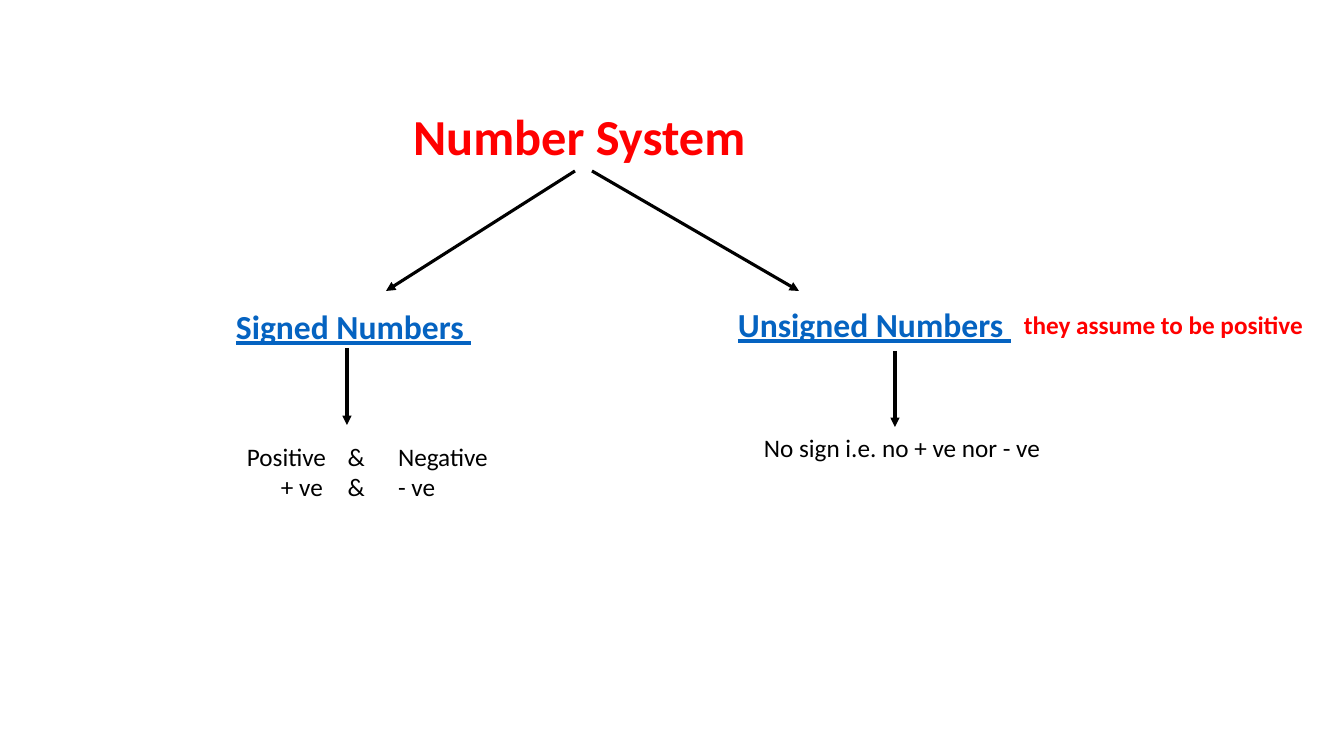
from dataclasses import dataclass

from lxml import etree
from pptx import Presentation
from pptx import util as u
from pptx.dml.color import RGBColor
from pptx.enum import shapes, text
from pptx.oxml.ns import qn


@dataclass(frozen=True)
class Theme:
    font: str = "Calibri"
    red: str = "FF0000"
    blue: str = "0563C1"
    black: str = "000000"
    title: int = 36
    heading: int = 24
    body: int = 18
    line: float = 2.25


THEME = Theme()
EMU_PER_PX = 914400 / 100.8

# Content: boxes are left, top, width, height in px
TITLE = ("Number System", (403, 100, 817, 72))
HEADINGS = [
    ("Signed Numbers ", (226, 301, 266, 50)),
    ("Unsigned Numbers ", (728, 299, 337, 50)),
]
REMARK = ("they assume to be positive", (1014, 304, 310, 40))
UNSIGNED_NOTE = ("No sign i.e. no + ve nor - ve", (754, 427, 310, 40))
SIGNED_BOX = (237, 436, 310, 72)
# Each row: first-line indent, tab stops, words
SIGNED_ROWS = [
    (0, (91, 119), ("Positive", "&", "Negative")),
    (34, (93, 127), ("+ ve", "&", "- ve")),
]
ARROWS = [
    ((575, 171), (386, 291)),
    ((592, 171), (799, 291)),
    ((895, 351), (895, 427)),
    ((347, 348), (347, 425)),
]


def px(value):
    return u.Emu(round(value * EMU_PER_PX))


def style(para, size, color, bold=False, underline=None):
    font = para.font
    font.name, font.size = THEME.font, u.Pt(size)
    font.bold, font.underline = bold, underline
    font.color.rgb = RGBColor.from_string(color)


def add_box(page, area):
    box = page.shapes.add_textbox(*map(px, area))
    box.text_frame.word_wrap = True
    return box.text_frame


def add_label(page, label, area, size, color, **look):
    para = add_box(page, area).paragraphs[0]
    para.text = label
    style(para, size, color, **look)


def set_columns(para, indent, stops):
    properties = para._p.get_or_add_pPr()
    properties.set("marL", "0")
    properties.set("indent", str(px(indent)))
    tabs = etree.SubElement(properties, qn("a:tabLst"))
    for stop in stops:
        etree.SubElement(tabs, qn("a:tab"), pos=str(px(stop)), algn="l")


def add_arrow(page, start, end):
    arrow = page.shapes.add_connector(
        shapes.MSO_CONNECTOR.STRAIGHT, *map(px, start + end))
    arrow.line.color.rgb = RGBColor.from_string(THEME.black)
    arrow.line.width = u.Pt(THEME.line)
    etree.SubElement(arrow.line._get_or_add_ln(), qn("a:tailEnd"), type="triangle")
    etree.SubElement(arrow._element.spPr, qn("a:effectLst"))


def main():
    deck = Presentation()
    deck.slide_width, deck.slide_height = px(1344), px(756)
    page = deck.slides.add_slide(deck.slide_layouts[5])

    # Title
    label, area = TITLE
    title = page.shapes.title
    title.left, title.top, title.width, title.height = map(px, area)
    frame = title.text_frame
    frame.text = label
    frame.auto_size = text.MSO_AUTO_SIZE.NONE
    frame.vertical_anchor = text.MSO_ANCHOR.TOP
    frame.paragraphs[0].alignment = text.PP_ALIGN.LEFT
    style(frame.paragraphs[0], THEME.title, THEME.red, bold=True)

    # Branches and their notes
    for label, area in HEADINGS:
        add_label(page, label, area, THEME.heading, THEME.blue,
                  bold=True, underline=True)
    add_label(page, *REMARK, THEME.body, THEME.red, bold=True)
    add_label(page, *UNSIGNED_NOTE, THEME.body, THEME.black)

    # Signed pairs, lined up with tabs
    frame = add_box(page, SIGNED_BOX)
    for number, (indent, stops, words) in enumerate(SIGNED_ROWS):
        para = frame.add_paragraph() if number else frame.paragraphs[0]
        para.text = "\t".join(words)
        set_columns(para, indent, stops)
        style(para, THEME.body, THEME.black)

    # Arrows
    for start, end in ARROWS:
        add_arrow(page, start, end)

    deck.save("out.pptx")


if __name__ == "__main__":
    main()
